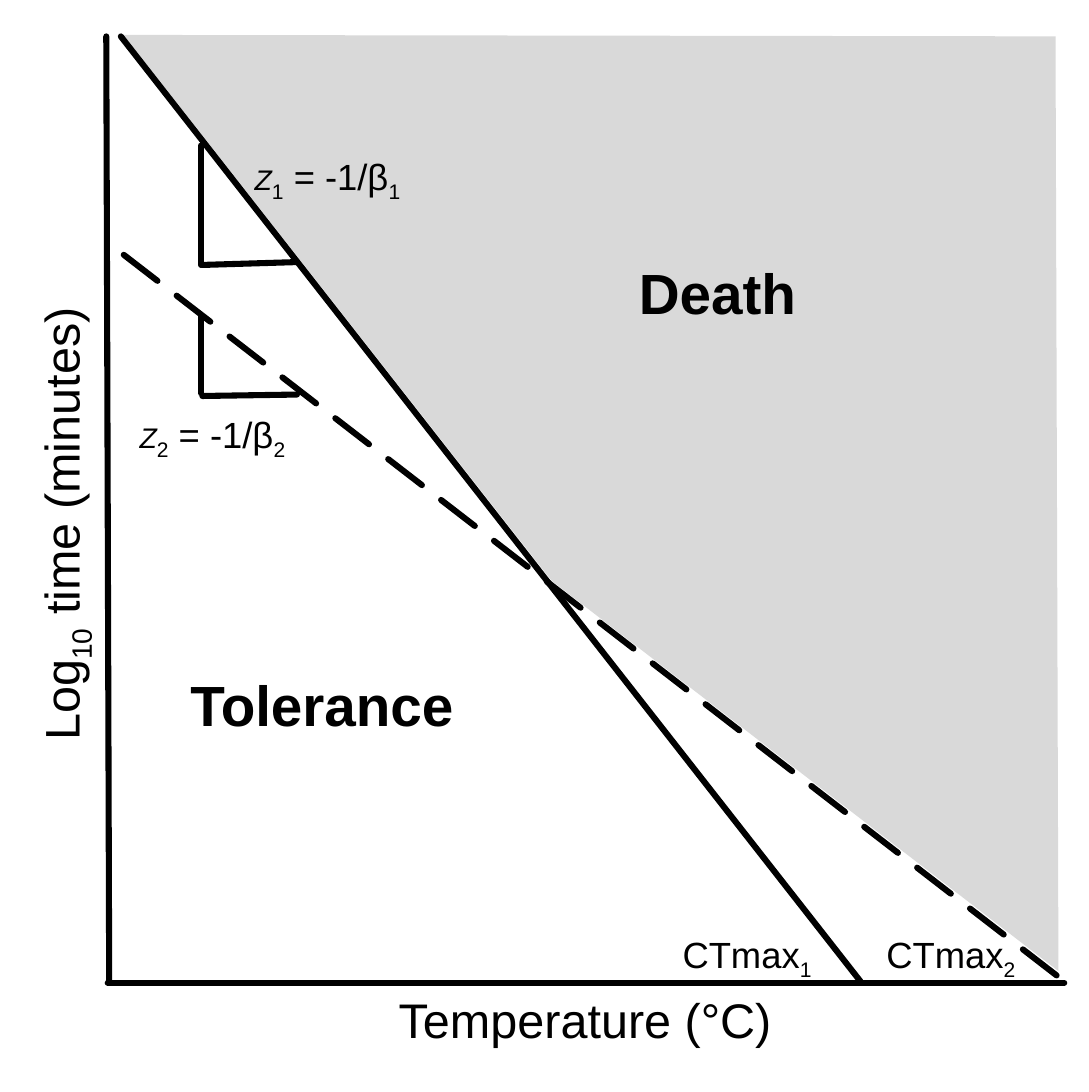
from lxml import etree
from pptx import Presentation
from pptx.dml.color import RGBColor
from pptx.enum.dml import MSO_LINE
from pptx.enum.shapes import MSO_CONNECTOR
from pptx.enum.text import MSO_AUTO_SIZE
from pptx.oxml.ns import qn
from pptx.util import Inches, Pt

BLACK = RGBColor(0x00, 0x00, 0x00)
GREY = RGBColor(0xD9, 0xD9, 0xD9)
STRAIGHT = MSO_CONNECTOR.STRAIGHT
LONG_DASH = MSO_LINE.LONG_DASH
FIT_SHAPE = MSO_AUTO_SIZE.SHAPE_TO_FIT_TEXT
BLANK_LAYOUT = 6


def add_run(p, text, size=18, bold=False, italic=False, sub=False):
    r = p.add_run()
    r.text = text
    r.font.name = "Arial"
    r.font.size = Pt(size)
    r.font.bold = bold
    r.font.italic = italic
    r.font.color.rgb = BLACK
    if sub:
        r.font._element.set("baseline", "-25000")


class Diagram:
    """Draws black lines, areas and labels on one slide."""

    def __init__(self, slide, line_width=3):
        self.shapes = slide.shapes
        self.line_width = Pt(line_width)

    def area(self, points, color):
        start, *rest = [(Inches(x), Inches(y)) for x, y in points]
        builder = self.shapes.build_freeform(*start, scale=1.0)
        builder.add_line_segments(rest, close=True)
        sp = builder.convert_to_shape()
        sp.shadow.inherit = False
        sp.fill.solid()
        sp.fill.fore_color.rgb = color
        sp.line.fill.background()

    def line(self, start, end, dash=None):
        ends = [Inches(v) for v in (*start, *end)]
        cxn = self.shapes.add_connector(STRAIGHT, *ends)
        cxn.line.color.rgb = BLACK
        cxn.line.width = self.line_width
        if dash:
            cxn.line.dash_style = dash
        cxn.line._get_or_add_ln().set("cap", "rnd")
        etree.SubElement(cxn._element.spPr, qn("a:effectLst"))

    def label(self, box, runs, wrap=True, rotation=0):
        """Place a text box; runs are (text, format) pairs."""
        sp = self.shapes.add_textbox(*[Inches(v) for v in box])
        sp.rotation = rotation
        tf = sp.text_frame
        tf.word_wrap = wrap
        tf.auto_size = FIT_SHAPE
        for text, fmt in runs:
            add_run(tf.paragraphs[0], text, **fmt)


def main():
    prs = Presentation()
    prs.slide_width, prs.slide_height = Inches(7.48), Inches(7.5)
    s = prs.slides.add_slide(prs.slide_layouts[BLANK_LAYOUT])
    d = Diagram(s)
    axis = {"size": 24}
    region = {"size": 28, "bold": True}
    sub = {"sub": True}

    d.area([(0.85, 0.24), (7.25, 0.25), (7.27, 6.67), (3.79, 3.99)], GREY)

    # Axes
    d.line((0.73, 0.25), (0.75, 6.75))
    d.line((7.31, 6.75), (0.74, 6.75))
    d.label((-1.27, 3.25, 3.37, 0.5),
            [("Log", axis), ("10", {**axis, **sub}), (" time (minutes)", axis)],
            wrap=False, rotation=270)
    d.label((2.64, 6.75, 2.79, 0.5), [("Temperature (°C)", axis)], wrap=False)

    # Tolerance curves
    d.line((0.83, 0.25), (5.91, 6.74))
    d.line((0.85, 1.75), (7.31, 6.74), dash=LONG_DASH)

    d.label((4.29, 1.72, 1.74, 0.57), [("Death", region)])
    d.label((1.21, 4.55, 2.34, 0.57), [("Tolerance", region)])

    # Slope and intercept labels
    curves = [("1", (1.65, 1.01, 1.75, 0.4), 4.59),
              ("2", (0.86, 2.78, 1.31, 0.4), 5.99)]
    for number, slope_box, ctmax_left in curves:
        d.label(slope_box, [("Z", {"size": 14, "italic": True}), (number, sub),
                            (" = -1/β", {}), (number, sub)])
        d.label((ctmax_left, 6.35, 1.1, 0.4), [("CTmax", {}), (number, sub)])

    # Slope triangles
    for top, bottom, corner, right in [(1, 1.82, 1.82, 1.8),
                                       (2.17, 2.7, 2.72, 2.71)]:
        d.line((1.38, top), (1.38, bottom))
        d.line((1.39, corner), (2.04, right))

    prs.save("out.pptx")


if __name__ == "__main__":
    main()
